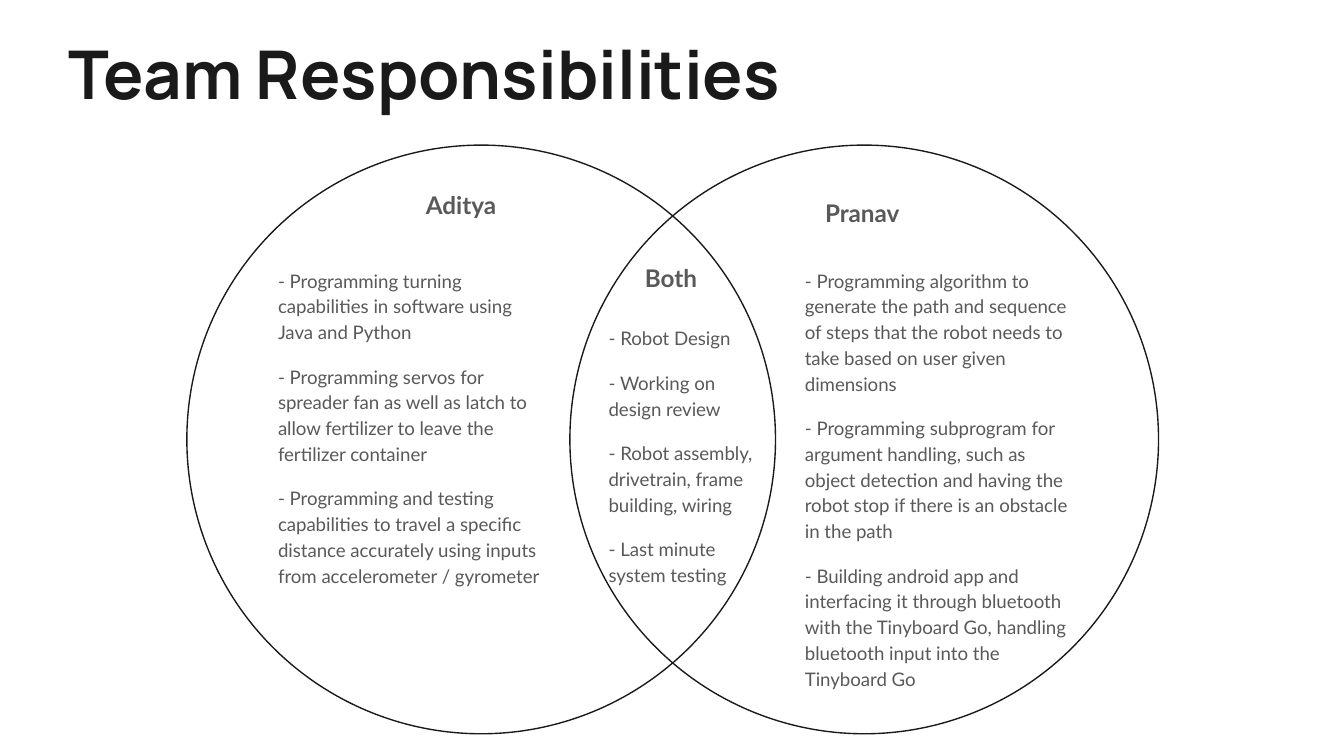
"""Build a two-circle Venn slide of team responsibilities."""
from dataclasses import dataclass

from pptx import Presentation
from pptx.dml.color import RGBColor
from pptx.enum import shapes, text
from pptx.util import Inches, Pt

COLORS = {"ink": "1A1A1A", "body": "595959"}
CIRCLE_LEFTS = (1.39, 4.24)
CIRCLE_TOP, CIRCLE_SIZE = 1.08, 4.38


@dataclass(frozen=True)
class TextBlock:
    left: float
    top: float
    width: float
    height: float
    lines: tuple[str, ...]
    size: float = 10
    font: str = "Lato"
    color: str = "body"
    bold: bool = False
    spacing: float = 1.15
    gap: float = 10
    after: float = 10


def heading(left: float, top: float, width: float, name: str) -> TextBlock:
    return TextBlock(left, top, width, 0.42, (name,), size=13, bold=True, after=12)


BLOCKS = (
    heading(4.7, 1.83, 0.61, "Both"),
    heading(3.07, 1.28, 0.78, "Aditya"),
    heading(6.04, 1.34, 0.78, "Pranav"),
    TextBlock(4.43, 2.31, 1.38, 2.15, (
        "- Robot Design",
        "- Working on design review",
        "- Robot assembly, drivetrain, frame building, wiring",
        "- Last minute system testing",
    )),
    TextBlock(1.97, 1.88, 2.18, 2.69, (
        "- Programming turning capabilities in software using Java and Python",
        "- Programming servos for spreader fan as well as latch to allow "
        "fertilizer to leave the fertilizer container",
        "- Programming and testing capabilities to travel a specific distance "
        "accurately using inputs from accelerometer / gyrometer",
    )),
    TextBlock(5.89, 1.88, 2.18, 3.31, (
        "- Programming algorithm to generate the path and sequence of steps "
        "that the robot needs to take based on user given dimensions",
        "- Programming subprogram for argument handling, such as object "
        "detection and having the robot stop if there is an obstacle in the path",
        "- Building android app and interfacing it through bluetooth with the "
        "Tinyboard Go, handling bluetooth input into the Tinyboard Go",
    )),
    TextBlock(0.41, 0.14, 5.54, 0.88, ("Team Responsibilities",), size=36,
              font="Manrope", color="ink", bold=True, spacing=1, after=0),
)


def add_circle(s, left: float) -> None:
    sp = s.shapes.add_shape(
        shapes.MSO_SHAPE.OVAL, Inches(left), Inches(CIRCLE_TOP),
        Inches(CIRCLE_SIZE), Inches(CIRCLE_SIZE))
    sp.shadow.inherit = False
    sp.fill.background()
    sp.line.color.rgb = RGBColor.from_string(COLORS["ink"])
    sp.line.width = Pt(0.75)


def add_text(s, block: TextBlock) -> None:
    sp = s.shapes.add_textbox(Inches(block.left), Inches(block.top),
                              Inches(block.width), Inches(block.height))
    tf = sp.text_frame
    tf.word_wrap = True
    tf.vertical_anchor = text.MSO_ANCHOR.TOP
    tf.margin_left = tf.margin_right = Inches(0.1)
    tf.margin_top = tf.margin_bottom = Inches(0.1)
    for i, line in enumerate(block.lines):
        p = tf.add_paragraph() if i else tf.paragraphs[0]
        p.text = line
        p.line_spacing = block.spacing
        p.space_before = Pt(block.gap if i else 0)
        p.space_after = Pt(0)
        p.font.name = block.font
        p.font.size = Pt(block.size)
        p.font.bold = block.bold
        p.font.color.rgb = RGBColor.from_string(COLORS[block.color])
    p.space_after = Pt(block.after)


def main() -> None:
    prs = Presentation()
    prs.slide_width = Inches(10)
    prs.slide_height = prs.slide_width * 9 // 16
    s = prs.slides.add_slide(prs.slide_layouts[6])
    for left in CIRCLE_LEFTS:
        add_circle(s, left)
    for block in BLOCKS:
        add_text(s, block)
    prs.save("out.pptx")


if __name__ == "__main__":
    main()
